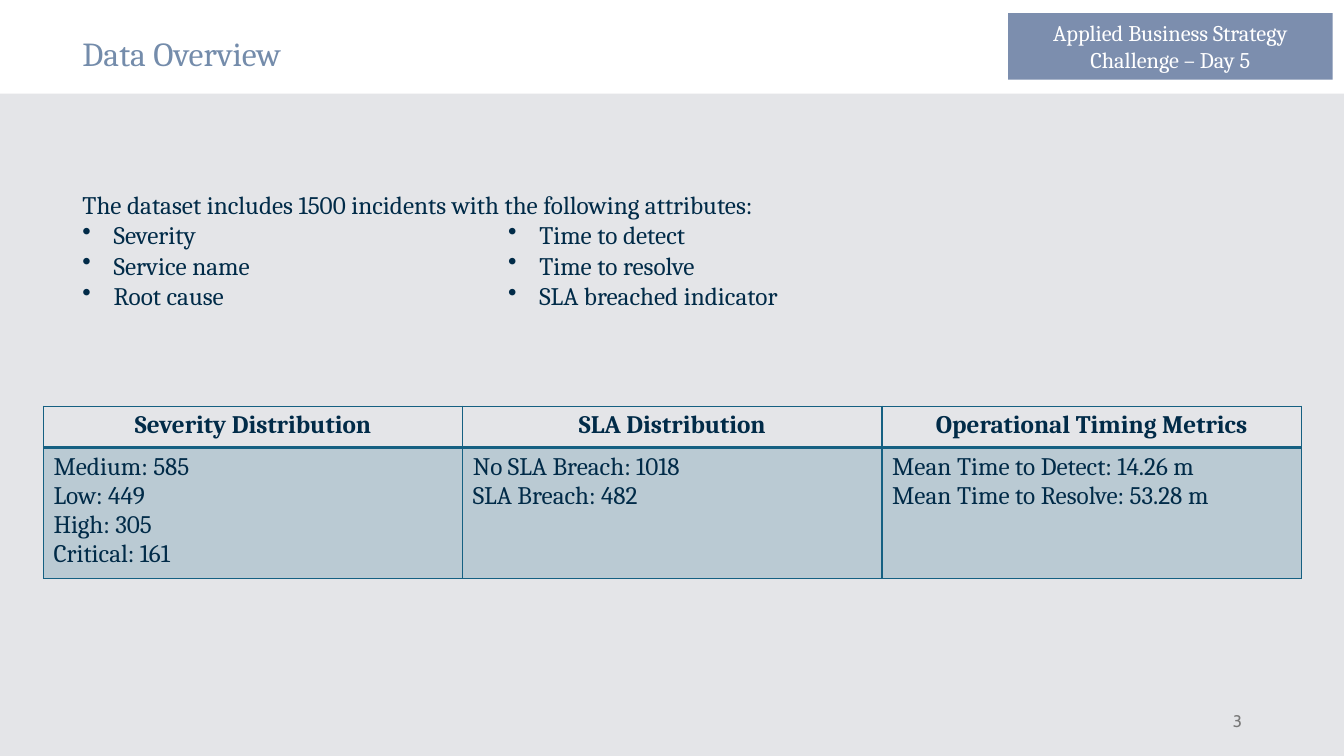
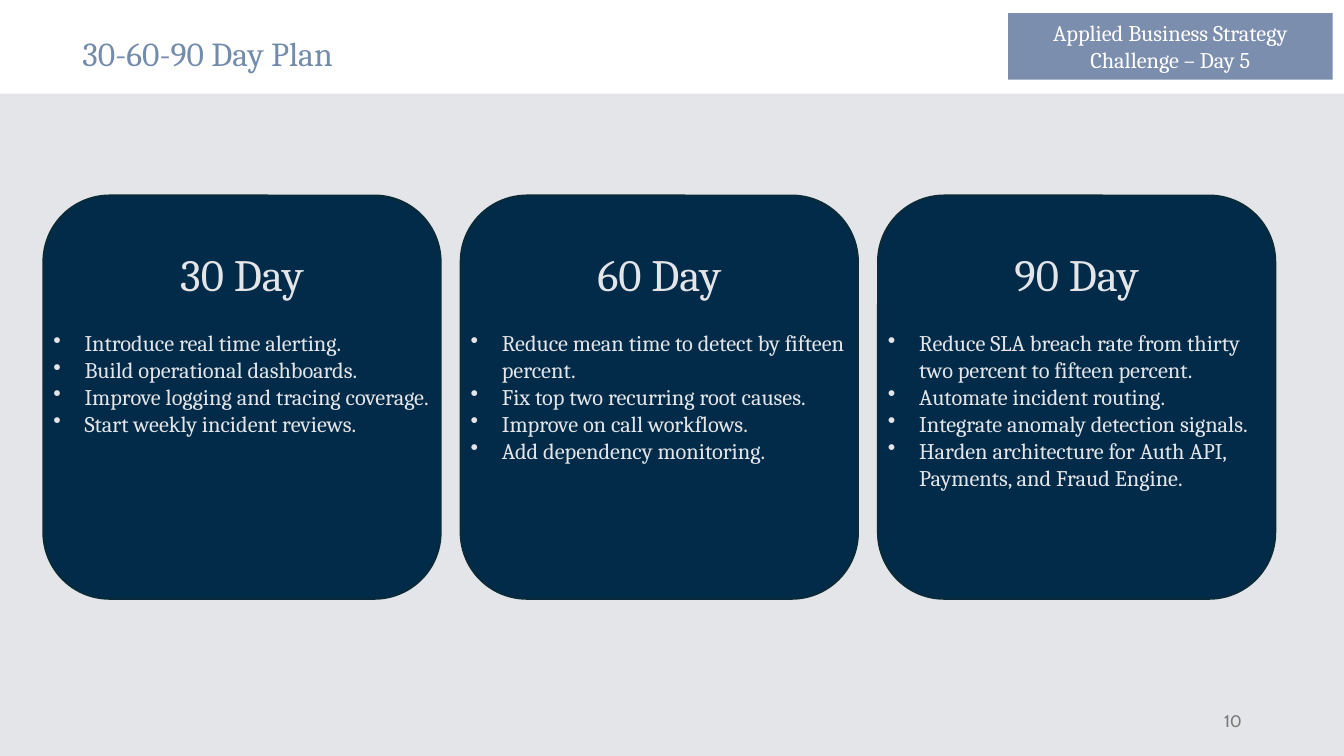
from dataclasses import dataclass

from lxml import etree
from pptx import Presentation
from pptx.dml.color import RGBColor
from pptx.enum.shapes import MSO_SHAPE
from pptx.enum.text import MSO_ANCHOR, PP_ALIGN
from pptx.oxml.ns import qn
from pptx.util import Inches, Pt

RECTANGLE = MSO_SHAPE.RECTANGLE
ROUNDED = MSO_SHAPE.ROUNDED_RECTANGLE
TOP, MIDDLE = MSO_ANCHOR.TOP, MSO_ANCHOR.MIDDLE
LEFT, CENTER, RIGHT = PP_ALIGN.LEFT, PP_ALIGN.CENTER, PP_ALIGN.RIGHT

WHITE = RGBColor(0xFF, 0xFF, 0xFF)
MIST = RGBColor(0xE4, 0xE5, 0xE8)
SLATE = RGBColor(0x7C, 0x8E, 0xAE)
STEEL = RGBColor(0x74, 0x8C, 0xAB)
GRAY = RGBColor(0x79, 0x79, 0x79)
NAVY = RGBColor(0x01, 0x2B, 0x48)
INK = RGBColor(0x09, 0x2A, 0x39)
TEAL = RGBColor(0x15, 0x60, 0x82)


def text_style(size, color, name="Cambria", bold=False, align=LEFT):
    return {"font": {"size": Pt(size), "name": name, "bold": bold},
            "color": color, "align": align}


TITLE = text_style(24, STEEL)
TAG = text_style(16, WHITE, align=CENTER)
NUMBER = text_style(12, GRAY, name="Cabin", align=RIGHT)
BODY = text_style(18, NAVY)
TABLE_HEAD = text_style(18, NAVY, bold=True, align=CENTER)
CARD_HEAD = text_style(32, MIST, align=CENTER)
CARD_BODY = text_style(16, MIST)

TAG_TEXT = "Applied Business Strategy Challenge – Day 5"
INDENT = Inches(0.31)
HEAD_ROW_SHARE = 24
CARD_PITCH = 31.05

ATTRIBUTES = ["Severity", "Service name", "Root cause"]
TIMING_ATTRIBUTES = ["Time to detect", "Time to resolve", "SLA breached indicator"]
DISTRIBUTIONS = {
    "Severity Distribution": ["Medium: 585", "Low: 449", "High: 305", "Critical: 161"],
    "SLA Distribution": ["No SLA Breach: 1018", "SLA Breach: 482"],
    "Operational Timing Metrics": ["Mean Time to Detect: 14.26 m",
                                   "Mean Time to Resolve: 53.28 m"],
}
PLAN = {
    "30 Day": ["Introduce real time alerting.",
               "Build operational dashboards.",
               "Improve logging and tracing coverage.",
               "Start weekly incident reviews."],
    "60 Day": ["Reduce mean time to detect by fifteen percent.",
               "Fix top two recurring root causes.",
               "Improve on call workflows.",
               "Add dependency monitoring."],
    "90 Day": ["Reduce SLA breach rate from thirty two percent to fifteen percent.",
               "Automate incident routing.",
               "Integrate anomaly detection signals.",
               "Harden architecture for Auth API, Payments, and Fraud Engine."],
}


@dataclass
class Box:
    left: int
    top: int
    width: int
    height: int

    def percent(self, left, top, width, height):
        return Box(self.left + round(self.width * left / 100),
                   self.top + round(self.height * top / 100),
                   round(self.width * width / 100),
                   round(self.height * height / 100))

    def frame(self):
        return self.left, self.top, self.width, self.height


def add_bullet(paragraph):
    properties = paragraph._p.get_or_add_pPr()
    properties.set("marL", str(INDENT))
    properties.set("indent", str(-INDENT))
    etree.SubElement(properties, qn("a:buChar")).set("char", "•")


def write(text_frame, lines, style, plain_lines=None):
    for index, line in enumerate(lines):
        paragraph = text_frame.paragraphs[0] if index == 0 else text_frame.add_paragraph()
        paragraph.alignment = style["align"]
        if plain_lines is not None and index >= plain_lines:
            add_bullet(paragraph)
        run = paragraph.add_run()
        run.text = line
        for name, value in style["font"].items():
            setattr(run.font, name, value)
        run.font.color.rgb = style["color"]


def add_text(slide, box, lines, style, anchor=TOP, plain_lines=None):
    text_frame = slide.shapes.add_textbox(*box.frame()).text_frame
    text_frame.word_wrap = True
    text_frame.vertical_anchor = anchor
    write(text_frame, lines, style, plain_lines)


def add_panel(slide, box, fill, kind=RECTANGLE, line=None):
    shape = slide.shapes.add_shape(kind, *box.frame())
    shape.shadow.inherit = False
    shape.fill.solid()
    shape.fill.fore_color.rgb = fill
    if line is None:
        shape.line.fill.background()
    else:
        shape.line.color.rgb = line
        shape.line.width = Pt(1.5)
    return shape


def add_page(presentation, page, title, number):
    slide = presentation.slides.add_slide(presentation.slide_layouts[6])
    add_panel(slide, page.percent(0, 12.4, 100, 87.6), MIST)
    tag = add_panel(slide, page.percent(75, 1.73, 24.15, 8.8), SLATE)
    tag.text_frame.vertical_anchor = MIDDLE
    write(tag.text_frame, [TAG_TEXT], TAG)
    add_text(slide, page.percent(5.4, 3.73, 44.4, 6.67), [title], TITLE)
    add_text(slide, page.percent(70.65, 92.67, 22.5, 5.33), [number], NUMBER, MIDDLE)
    return slide


def set_borders(cell, widths):
    properties = cell._tc.get_or_add_tcPr()
    for index, (side, width) in enumerate(widths.items()):
        line = etree.Element(qn(f"a:ln{side}"), w=str(Pt(width)))
        fill = etree.SubElement(line, qn("a:solidFill"))
        etree.SubElement(fill, qn("a:srgbClr")).set("val", str(TEAL))
        properties.insert(index, line)


def set_tint(cell, percent):
    cell.fill.solid()
    cell.fill.fore_color.rgb = TEAL
    color = cell._tc.tcPr.find(f".//{qn('a:srgbClr')}")
    etree.SubElement(color, qn("a:alpha")).set("val", str(percent * 1000))


def add_distribution_table(slide, box):
    table = slide.shapes.add_table(2, len(DISTRIBUTIONS), *box.frame()).table
    table.first_row = table.horz_banding = False
    for row, share in zip(table.rows, (HEAD_ROW_SHARE, 100 - HEAD_ROW_SHARE)):
        row.height = round(box.height * share / 100)
    for column, (heading, lines) in enumerate(DISTRIBUTIONS.items()):
        head, body = table.cell(0, column), table.cell(1, column)
        head.fill.background()
        set_tint(body, 20)
        set_borders(head, {"L": 1, "R": 1, "T": 1, "B": 2})
        set_borders(body, {"L": 1, "R": 1, "T": 2, "B": 1})
        write(head.text_frame, [heading], TABLE_HEAD)
        write(body.text_frame, lines, BODY)


def add_overview(presentation, page):
    slide = add_page(presentation, page, "Data Overview", "3")
    intro = "The dataset includes 1500 incidents with the following attributes:"
    add_text(slide, page.percent(5.4, 24.4, 78.1, 17.47), [intro, *ATTRIBUTES], BODY,
             plain_lines=1)
    add_text(slide, page.percent(37.06, 28.4, 50, 13.47), TIMING_ATTRIBUTES, BODY,
             plain_lines=0)
    add_distribution_table(slide, page.percent(3.23, 53.73, 93.6, 22.8))


def add_card(slide, box, heading, actions):
    add_panel(slide, box, NAVY, ROUNDED, INK)
    add_text(slide, box.percent(0, 11.5, 100, 16), [heading], CARD_HEAD)
    add_text(slide, box.percent(0, 32, 100, 60), actions, CARD_BODY, plain_lines=0)


def add_plan(presentation, page):
    slide = add_page(presentation, page, "30-60-90 Day Plan", "10")
    for index, (heading, actions) in enumerate(PLAN.items()):
        box = page.percent(3.23 + index * CARD_PITCH, 25.87, 29.55, 53.33)
        add_card(slide, box, heading, actions)


def main():
    presentation = Presentation()
    presentation.slide_width = Inches(13.33)
    presentation.slide_height = Inches(7.5)
    page = Box(0, 0, presentation.slide_width, presentation.slide_height)
    add_overview(presentation, page)
    add_plan(presentation, page)
    presentation.save("out.pptx")


if __name__ == "__main__":
    main()
